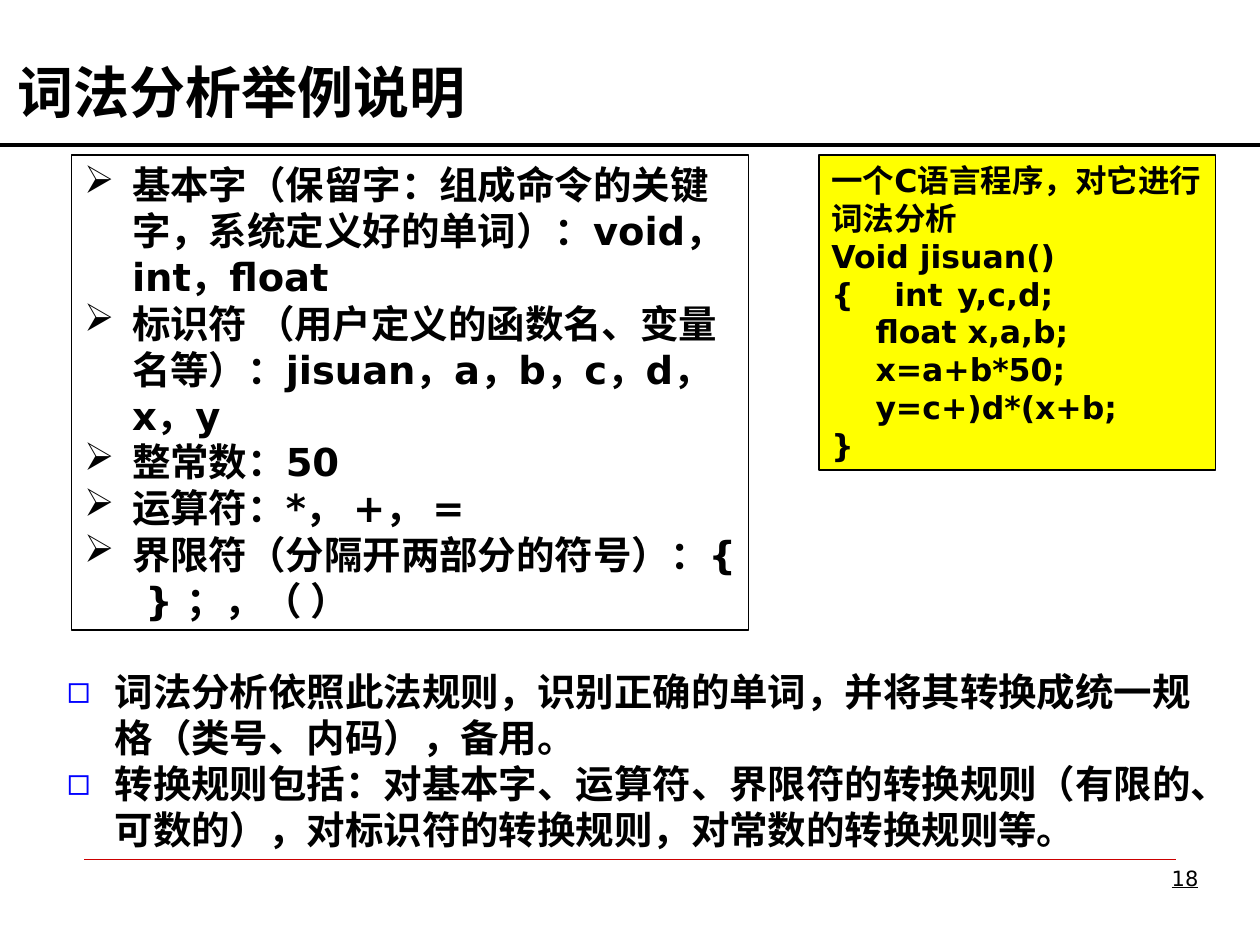
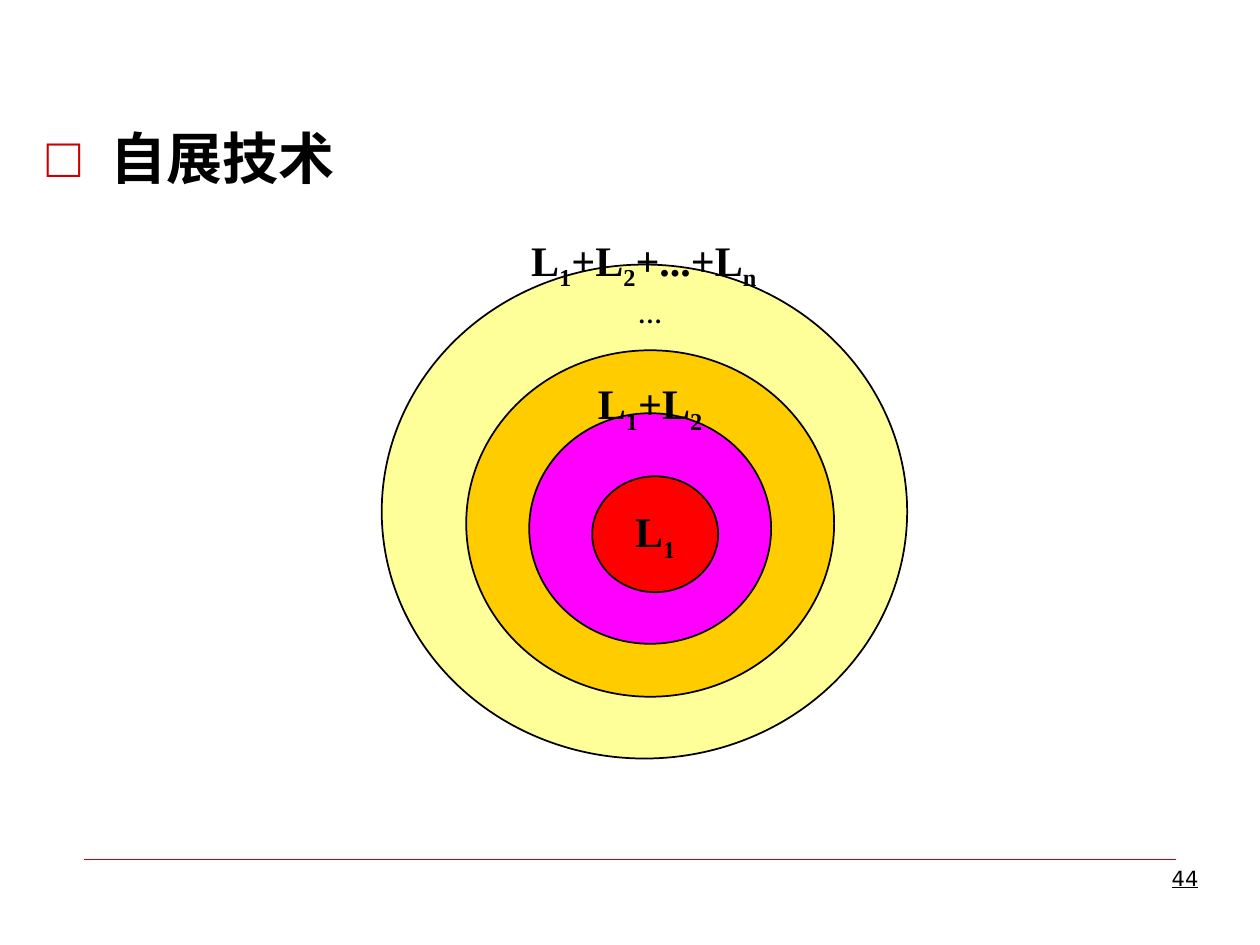
import pptx
import pptx.util
import pptx.dml.color
import pptx.enum.shapes
import pptx.enum.text
import pptx.oxml.ns
from lxml import etree

Inches = pptx.util.Inches
ALIGN = pptx.enum.text.PP_ALIGN
ANCHOR = pptx.enum.text.MSO_ANCHOR
SHAPE = pptx.enum.shapes.MSO_SHAPE
qn = pptx.oxml.ns.qn

BLACK, RED, BLUE, YELLOW = "000000", "CC0000", "0000FF", "FFFF00"
CJK = "Noto Sans CJK SC"
HEADING = {"size": 32, "name": CJK, "bold": True}
LIST = {"size": 22, "name": "DejaVu Sans", "bold": True}
CODE = {"size": 18, "name": "DejaVu Sans", "bold": True}
NUMBER = {"size": 12, "name": "DejaVu Sans", "bold": False, "underline": True}
LABEL = {"size": 24, "name": "Times New Roman", "bold": True}

TOKEN_KINDS = [
    "基本字（保留字：组成命令的关键字，系统定义好的单词）：void，int，float",
    "标识符 （用户定义的函数名、变量名等）：jisuan，a，b，c，d，x，y",
    "整常数：50",
    "运算符：*， +， =",
    "界限符（分隔开两部分的符号）：{  } ；，（ ）",
]
RULES = [
    "词法分析依照此法规则，识别正确的单词，并将其转换成统一规格（类号、内码），备用。",
    "转换规则包括：对基本字、运算符、界限符的转换规则（有限的、可数的），对标识符的转换规则，对常数的转换规则等。",
]
PROGRAM = [
    (0, "一个C语言程序，对它进行词法分析"),
    (0, "Void jisuan()"),
    (0, "{\tint\ty,c,d;"),
    (0.35, "float x,a,b;"),
    (0.35, "x=a+b*50;"),
    (0.35, "y=c+)d*(x+b;"),
    (0, "}"),
]
RINGS = [
    (3.03, 2.1, 4.17, 3.92, "FFFF99"),
    (3.7, 2.78, 2.92, 2.75, "FFCC00"),
    (4.2, 3.28, 1.92, 1.83, "FF00FF"),
    (4.7, 3.78, 1, 0.92, "FF0000"),
]
RING_LABELS = [
    (5.11, 1.81, ["L", "1", "+L", "2", "+...+L", "n"]),
    (5.16, 2.1, ["", "…"]),
    (5.16, 2.95, ["L", "1", "+L", "2"]),
]


def rgb(value):
    return pptx.dml.color.RGBColor.from_string(value)


def place(sp, x, y, w, h):
    for name, value in {"left": x, "top": y, "width": w, "height": h}.items():
        setattr(sp, name, Inches(value))


def set_frame(tf, anchor=ANCHOR.TOP, wrap=True):
    values = {
        "auto_size": pptx.enum.text.MSO_AUTO_SIZE.NONE,
        "word_wrap": wrap, "vertical_anchor": anchor,
        "margin_left": Inches(0.1), "margin_right": Inches(0.1),
        "margin_top": Inches(0.05), "margin_bottom": Inches(0.05),
    }
    for name, value in values.items():
        setattr(tf, name, value)


def add_run(p, text, style):
    r = p.add_run()
    r.text = text
    for name, value in style.items():
        setattr(r.font, name, pptx.util.Pt(value) if name == "size" else value)
    r.font.color.rgb = rgb(BLACK)
    etree.SubElement(r.font._element, qn("a:ea"), typeface=CJK)
    return r


def add_paragraph(tf, index, align=ALIGN.LEFT, before=0, spacing=1.0):
    p = tf.paragraphs[0] if index == 0 else tf.add_paragraph()
    p.alignment = align
    p.space_before = pptx.util.Pt(before)
    p.line_spacing = spacing
    return p


def set_indent(p, left, first=0):
    pPr = p._p.get_or_add_pPr()
    pPr.set("marL", str(Inches(left)))
    pPr.set("indent", str(Inches(first)))
    return pPr


def set_bullet(p, char, color, indent):
    pPr = set_indent(p, indent, -indent)
    clr = etree.SubElement(pPr, qn("a:buClr"))
    etree.SubElement(clr, qn("a:srgbClr"), val=color)
    etree.SubElement(pPr, qn("a:buChar"), char=char)


def set_tabs(p, *stops):
    tabs = etree.SubElement(p._p.get_or_add_pPr(), qn("a:tabLst"))
    for stop in stops:
        etree.SubElement(tabs, qn("a:tab"), pos=str(Inches(stop)), algn="l")


def fill_list(tf, items, style, char, color, indent=0.38, **spacing):
    set_frame(tf)
    for i, text in enumerate(items):
        p = add_paragraph(tf, i, **spacing)
        set_bullet(p, char, color, indent)
        add_run(p, text, style)


def fill_code(tf, lines):
    set_frame(tf)
    for i, (indent, text) in enumerate(lines):
        p = add_paragraph(tf, i)
        set_indent(p, indent)
        if "\t" in text:
            set_tabs(p, 0.44, 1.17)
        add_run(p, text, CODE)


def fill_label(tf, parts, anchor):
    set_frame(tf, anchor, wrap=False)
    p = add_paragraph(tf, 0, ALIGN.CENTER)
    for i, text in enumerate(parts):
        if text:
            r = add_run(p, text, LABEL)
            r.font._element.set("baseline", "-25000" if i % 2 else "0")


def add_box(s, kind, box, fill=None, weight=0.75):
    sp = s.shapes.add_shape(kind, *map(Inches, box))
    sp.shadow.inherit = False
    if fill:
        sp.fill.solid()
        sp.fill.fore_color.rgb = rgb(fill)
    else:
        sp.fill.background()
    sp.line.color.rgb = rgb(BLACK)
    sp.line.width = pptx.util.Pt(weight)
    return sp


def add_rule(s, x1, x2, y, color, weight):
    c = s.shapes.add_connector(pptx.enum.shapes.MSO_CONNECTOR.STRAIGHT,
                               Inches(x1), Inches(y), Inches(x2), Inches(y))
    c.line.color.rgb = rgb(color)
    c.line.width = pptx.util.Pt(weight)
    etree.SubElement(c._element.spPr, qn("a:effectLst"))


def add_text(s, *box):
    return s.shapes.add_textbox(*map(Inches, box)).text_frame


def add_slide(prs, number):
    s = prs.slides.add_slide(prs.slide_layouts[1])
    add_rule(s, 0.67, 9.33, 6.82, RED, 0.25)
    tf = add_text(s, 7.44, 6.82, 2.17, 0.52)
    set_frame(tf)
    add_run(add_paragraph(tf, 0, ALIGN.RIGHT), str(number), NUMBER)
    return s


def add_lexical_slide(prs):
    s = add_slide(prs, 18)
    title, body = s.placeholders
    place(title, 0.04, 0.21, 8.75, 0.83)
    set_frame(title.text_frame, ANCHOR.BOTTOM)
    add_run(add_paragraph(title.text_frame, 0), "词法分析举例说明", HEADING)
    add_rule(s, 0, 10, 1.15, BLACK, 2.25)
    tokens = add_box(s, SHAPE.RECTANGLE, (0.57, 1.23, 5.37, 3.77))
    fill_list(tokens.text_frame, TOKEN_KINDS, LIST, "➢", BLACK)
    place(body, 0.43, 5.25, 9.29, 1.57)
    fill_list(body.text_frame, RULES, LIST, "◻", BLUE)
    program = add_box(s, SHAPE.RECTANGLE, (6.5, 1.23, 3.15, 2.5), YELLOW)
    fill_code(program.text_frame, PROGRAM)


def add_bootstrap_slide(prs):
    s = add_slide(prs, 44)
    title, body = s.placeholders
    title._element.getparent().remove(title._element)
    place(body, 0.27, 0.99, 8.19, 0.65)
    fill_list(body.text_frame, ["自展技术"], HEADING, "□", RED, 0.51,
              before=8, spacing=0.9)
    for *box, color in RINGS:
        core = add_box(s, SHAPE.OVAL, box, color, 1)
    fill_label(core.text_frame, ["L", "1"], ANCHOR.MIDDLE)
    for center, top, parts in RING_LABELS:
        fill_label(add_text(s, center - 1.25, top, 2.5, 0.5), parts, ANCHOR.TOP)


def main():
    prs = pptx.Presentation()
    prs.slide_width, prs.slide_height = Inches(10), Inches(7.5)
    add_lexical_slide(prs)
    add_bootstrap_slide(prs)
    prs.save("out.pptx")


if __name__ == "__main__":
    main()
